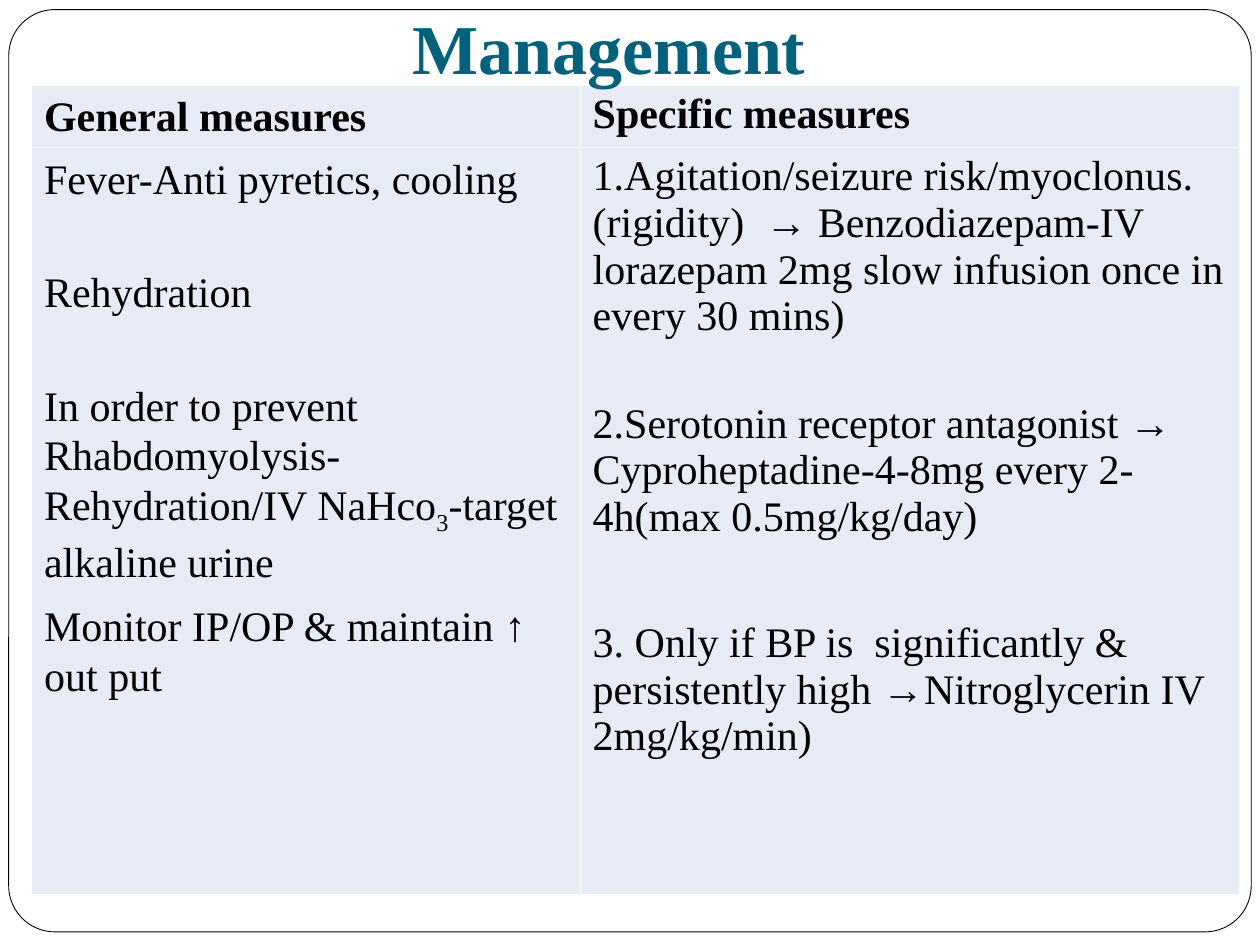
from typing import NamedTuple

from lxml.etree import SubElement
from pptx import Presentation
from pptx.dml.color import RGBColor
from pptx.enum.shapes import MSO_SHAPE as SHAPE
from pptx.enum.text import MSO_ANCHOR as ANCHOR, PP_ALIGN as ALIGN
from pptx.oxml.ns import qn
from pptx.util import Pt

WHITE = RGBColor(0xFF, 0xFF, 0xFF)
BLACK = RGBColor(0, 0, 0)
TEAL = RGBColor(0x04, 0x61, 0x7B)
PALE = RGBColor(0xE7, 0xEB, 0xF5)
SERIF, SANS = "Times New Roman", "Arial"
LOOSE, SINGLE = 1.07, 1.0
BODY = {"size": Pt(24), "bold": False}
HEADER = {"size": Pt(24), "bold": True}


class Run(NamedTuple):
    text: str
    font: str = SERIF
    baseline: int = 0


class Para(NamedTuple):
    runs: list[Run]
    before: float = 0


class Cell(NamedTuple):
    paras: list[Para]
    spacing: float
    fmt: dict


RIGHT_ARROW = Run("→", SANS)
ROWS = [
    [
        Cell([Para([Run("General measures")])], LOOSE, HEADER),
        Cell([Para([Run("Specific measures")])], SINGLE, HEADER),
    ],
    [
        Cell([
            Para([Run("Fever-Anti pyretics, cooling")]),
            Para([Run("Rehydration")], 28.5),
            Para([Run("In order to prevent Rhabdomyolysis- Rehydration/IV NaHco"),
                  Run("3", baseline=-25000), Run("-target alkaline urine")], 28.5),
            Para([Run("Monitor IP/OP & maintain "), Run("↑", SANS), Run(" out put")]),
        ], LOOSE, BODY),
        Cell([
            Para([Run("1.Agitation/seizure risk/myoclonus.(rigidity)  "), RIGHT_ARROW,
                  Run(" Benzodiazepam-IV lorazepam 2mg slow infusion once in every 30 mins)")]),
            Para([Run("2.Serotonin receptor antagonist "), RIGHT_ARROW,
                  Run(" Cyproheptadine-4-8mg every 2-4h(max 0.5mg/kg/day)")], 26.5),
            Para([Run("3. Only if BP is  significantly & persistently high "), RIGHT_ARROW,
                  Run("Nitroglycerin IV 2mg/kg/min)")], 37.5),
        ], SINGLE, BODY),
    ],
]


def set_all(obj, values: dict) -> None:
    for name, value in values.items():
        setattr(obj, name, value)


def add_run(p, run: Run, fmt: dict, color: RGBColor) -> None:
    r = p.add_run()
    r.text = run.text
    set_all(r.font, {"name": run.font, **fmt})
    r.font.color.rgb = color
    if run.baseline:
        r.font._element.set("baseline", str(run.baseline))


def add_borders(cell) -> None:
    tc_pr = cell._tc.get_or_add_tcPr()
    for i, side in enumerate(("lnL", "lnR", "lnT", "lnB")):
        ln = tc_pr.makeelement(qn(f"a:{side}"), {"w": str(Pt(0.45))})
        fill = SubElement(ln, qn("a:solidFill"))
        SubElement(fill, qn("a:srgbClr"), val=str(WHITE))
        tc_pr.insert(i, ln)


def fill_cell(cell, content: Cell) -> None:
    set_all(cell, {"margin_left": Pt(7.2), "margin_right": Pt(5.4),
                   "margin_top": Pt(3.6), "margin_bottom": Pt(3.6)})
    cell.fill.solid()
    cell.fill.fore_color.rgb = PALE
    add_borders(cell)
    tf = cell.text_frame
    for i, para in enumerate(content.paras):
        p = tf.add_paragraph() if i else tf.paragraphs[0]
        set_all(p, {"line_spacing": content.spacing, "space_before": Pt(para.before),
                    "space_after": Pt(8)})
        for run in para.runs:
            add_run(p, run, content.fmt, BLACK)


def add_frame(s) -> None:
    sp = s.shapes.add_shape(SHAPE.ROUNDED_RECTANGLE, Pt(5), Pt(5.5), Pt(710), Pt(527))
    sp.adjustments[0] = 0.05
    sp.shadow.inherit = False
    sp.fill.solid()
    sp.fill.fore_color.rgb = WHITE
    sp.line.color.rgb = BLACK
    sp.line.width = Pt(0.5)


def add_measures(s) -> None:
    table = s.shapes.add_table(2, 2, Pt(18), Pt(48.5), Pt(690), Pt(458)).table
    set_all(table, {"first_row": False, "horz_banding": False})
    for column, width in zip(table.columns, (313.5, 376.5)):
        column.width = Pt(width)
    for row, height, contents in zip(table.rows, (31, 427), ROWS):
        row.height = Pt(height)
        for cell, content in zip(row.cells, contents):
            fill_cell(cell, content)


def add_title(s) -> None:
    tf = s.shapes.add_textbox(Pt(42), Pt(12), Pt(612), Pt(45.5)).text_frame
    set_all(tf, {"word_wrap": True, "vertical_anchor": ANCHOR.BOTTOM,
                 "margin_top": Pt(3.6), "margin_bottom": Pt(7.2)})
    p = tf.paragraphs[0]
    p.alignment = ALIGN.CENTER
    add_run(p, Run("Management"), {"size": Pt(40), "bold": True}, TEAL)


def main() -> None:
    """Build the slide on general and specific management measures."""
    prs = Presentation()
    set_all(prs, {"slide_width": Pt(720), "slide_height": Pt(540)})
    s = prs.slides.add_slide(prs.slide_layouts[6])
    add_frame(s)
    add_measures(s)
    add_title(s)
    prs.save("out.pptx")


if __name__ == "__main__":
    main()
